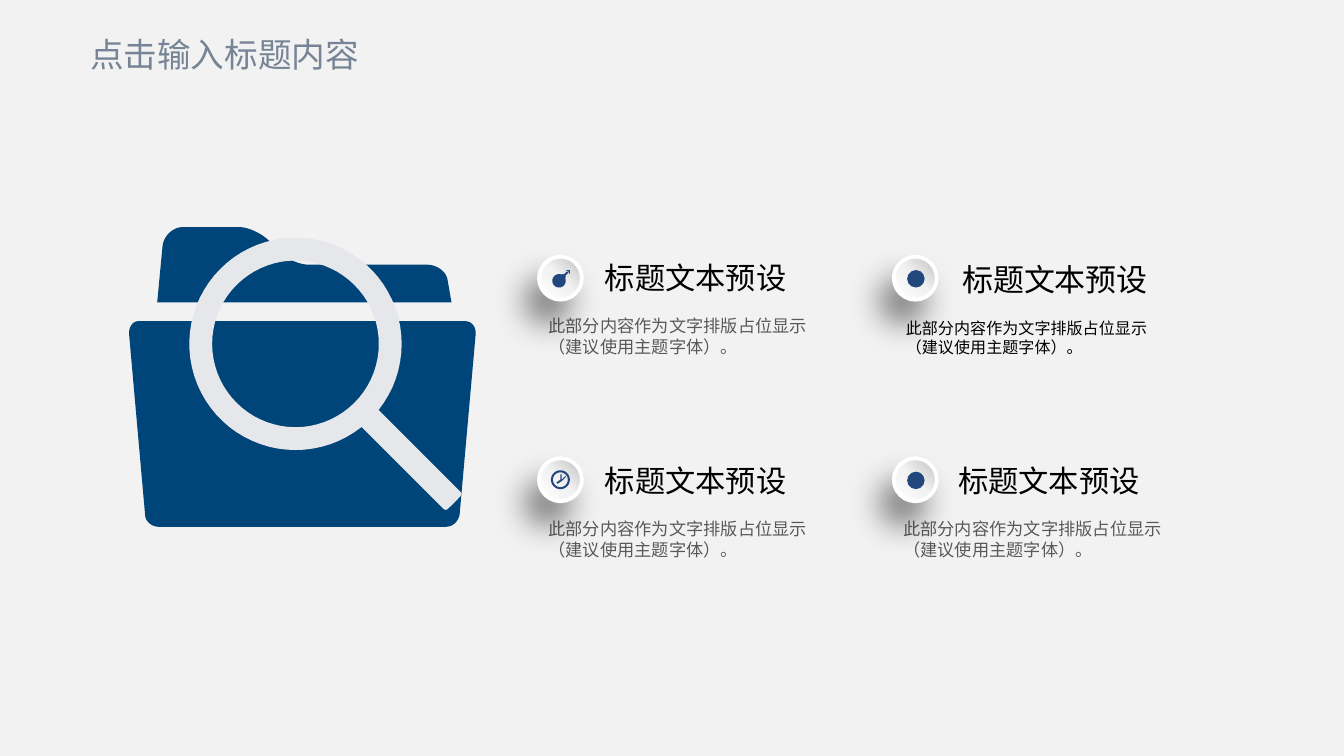
import math
from lxml import etree
from pptx import Presentation
from pptx.dml.color import RGBColor
from pptx.enum.shapes import MSO_SHAPE
from pptx.enum.text import MSO_ANCHOR, PP_ALIGN
from pptx.oxml import parse_xml
from pptx.oxml.ns import nsdecls, qn
from pptx.util import Inches, Pt

OVAL = MSO_SHAPE.OVAL
MIDDLE = MSO_ANCHOR.MIDDLE
LEFT = PP_ALIGN.LEFT
FONT = "Noto Sans CJK SC"
rgb = RGBColor.from_string
ICON_BLUE = "22477D"

BADGE_FILL = f"""<a:gradFill {nsdecls("a")}><a:gsLst>
<a:gs pos="0"><a:srgbClr val="BFBFBF"/></a:gs>
<a:gs pos="50000"><a:srgbClr val="F2F2F2"/></a:gs>
<a:gs pos="100000"><a:srgbClr val="FFFFFF"/></a:gs>
</a:gsLst><a:lin ang="8100000" scaled="0"/></a:gradFill>"""
BADGE_SHADOW = f"""<a:outerShdw {nsdecls("a")} blurRad="{Pt(17)}" dist="{Pt(14)}"
dir="7200000" algn="ctr" rotWithShape="0">
<a:srgbClr val="0D0D0D"><a:alpha val="50000"/></a:srgbClr></a:outerShdw>"""


def arc(cx, cy, radius, start=0, end=360):
    """Points along an arc, in inches; angles in degrees, clockwise from the right."""
    angles = [math.radians(start + (end - start) * i / 72) for i in range(73)]
    return [(cx + radius * math.cos(a), cy + radius * math.sin(a)) for a in angles]


def draw_outline(contours, color):
    """Fill closed contours; a step is a line end (x, y) or a cubic curve of six numbers."""
    builder = None
    for start, *steps in contours:
        points = [start]
        for step in steps:
            if len(step) == 2:
                points.append(step)
                continue
            x0, y0 = points[-1]
            x1, y1, x2, y2, x3, y3 = step
            for t in [i / 12 for i in range(1, 13)]:
                a, b, c, d = (1 - t) ** 3, 3 * t * (1 - t) ** 2, 3 * t * t * (1 - t), t ** 3
                points.append((a * x0 + b * x1 + c * x2 + d * x3,
                               a * y0 + b * y1 + c * y2 + d * y3))
        points = [(Inches(x), Inches(y)) for x, y in points]
        if builder is None:
            builder = slide.shapes.build_freeform(*points[0])
        else:
            builder.move_to(*points[0])
        builder.add_line_segments(points[1:], close=True)
    outline = builder.convert_to_shape()
    outline.shadow.inherit = False
    outline.fill.solid()
    outline.fill.fore_color.rgb = rgb(color)
    outline.line.fill.background()
    return outline


prs = Presentation()
prs.slide_width = Inches(10)
prs.slide_height = prs.slide_width * 9 // 16
slide = prs.slides.add_slide(prs.slide_layouts[5])
slide.background.fill.solid()
slide.background.fill.fore_color.rgb = rgb("F2F2F2")

# Captions: box, text, size, colour
HEADING = "标题文本预设"
BODY = "此部分内容作为文字排版占位显示\v（建议使用主题字体）。"
captions = [
    (4.47, 1.91, 1.45, 0.31, HEADING, 16.2, "000000"),
    (4.05, 2.32, 2.29, 0.36, BODY, 9.2, "595959"),
    (4.47, 3.42, 1.45, 0.31, HEADING, 16.2, "000000"),
    (4.05, 3.83, 2.29, 0.36, BODY, 9.2, "595959"),
    (7.13, 1.92, 1.5, 0.31, HEADING, 16.6, "000000"),
    (6.71, 2.34, 2.08, 0.36, BODY, 8.6, "000000"),
    (7.10, 3.42, 1.45, 0.31, HEADING, 16.2, "000000"),
    (6.69, 3.83, 2.29, 0.36, BODY, 9.2, "595959"),
]
for left, top, width, height, text, size, color in captions:
    caption = slide.shapes.add_textbox(Inches(left), Inches(top), Inches(width), Inches(height))
    frame = caption.text_frame
    frame.margin_left = frame.margin_right = Inches(0.03)
    frame.margin_top = frame.margin_bottom = Inches(0.03)
    frame.word_wrap = True
    if text == HEADING:
        frame.vertical_anchor = MIDDLE
    frame.text = text
    for run in frame.paragraphs[0].runs:
        run.font.size = Pt(size)
        run.font.color.rgb = rgb(color)

# Round badges on a two by two grid
for left in (4.01, 6.65):
    for top in (1.91, 3.41):
        badge = slide.shapes.add_shape(OVAL, Inches(left), Inches(top), Inches(0.32), Inches(0.32))
        badge.line.color.rgb = rgb("FFFFFF")
        badge.line.width = Pt(2)
        badge.shadow.inherit = False
        properties = badge._element.spPr
        properties.insert(2, parse_xml(BADGE_FILL))
        properties.find(qn("a:effectLst")).append(parse_xml(BADGE_SHADOW))

# Badge icons: bomb, clock and two plain dots
draw_outline([
    arc(4.16, 2.09, 0.05, -20, 290)
    + [(4.19, 2.04), (4.2, 2.04), (4.22, 2.02), (4.23, 2.03), (4.21, 2.05), (4.21, 2.06)],
    [(4.21, 2.01), (4.24, 2.01), (4.24, 2.04), (4.23, 2.02)],
], ICON_BLUE)
draw_outline([
    arc(4.17, 3.57, 0.07),
    arc(4.17, 3.57, 0.055),
    [(4.17, 3.53), (4.18, 3.53), (4.18, 3.57), (4.21, 3.54), (4.21, 3.55),
     (4.18, 3.58), (4.15, 3.6), (4.14, 3.59), (4.17, 3.57)],
], ICON_BLUE)
for top in (2.01, 3.51):
    dot = slide.shapes.add_shape(OVAL, Inches(6.75), Inches(top), Inches(0.13), Inches(0.13))
    dot.shadow.inherit = False
    dot.fill.solid()
    dot.fill.fore_color.rgb = rgb(ICON_BLUE)
    dot.line.fill.background()

# Folder: front panel and tabbed back
draw_outline([
    [(3.46, 2.39), (1.03, 2.39), (0.99, 2.39, 0.96, 2.43, 0.96, 2.48), (1.08, 3.83),
     (1.08, 3.88, 1.13, 3.92, 1.18, 3.92), (3.32, 3.92),
     (3.37, 3.92, 3.41, 3.88, 3.42, 3.83), (3.54, 2.48),
     (3.54, 2.43, 3.51, 2.39, 3.46, 2.39)],
    [(3.33, 2.08), (3.32, 2.02, 3.25, 1.97, 3.18, 1.97), (2.3, 1.97),
     (2.23, 1.97, 2.13, 1.93, 2.08, 1.87), (2, 1.79),
     (1.95, 1.74, 1.85, 1.69, 1.78, 1.69), (1.36, 1.69),
     (1.29, 1.69, 1.22, 1.75, 1.21, 1.83), (1.17, 2.25), (3.36, 2.25)],
], "004579")

# Magnifier: drawn upright, then turned
lens_x, lens_y, grip, tip = 2.51, 2.43, 0.09, 4.1
magnifier = draw_outline([
    arc(lens_x, lens_y, 0.62),
    arc(lens_x, lens_y, 0.79, 96.5, 443.5)
    + [(lens_x + grip, tip - 0.06), (lens_x + grip, tip, lens_x + grip, tip, lens_x + 0.04, tip),
       (lens_x - 0.04, tip), (lens_x - grip, tip, lens_x - grip, tip, lens_x - grip, tip - 0.06)],
], "E6E7EA")
magnifier.rotation = 315

title = slide.shapes.title
title.left, title.top, title.width, title.height = map(Inches, (0.67, 0.19, 2.33, 0.42))
frame = title.text_frame
frame.text = "点击输入标题内容"
frame.margin_left = frame.margin_right = 0
frame.vertical_anchor = MIDDLE
frame.paragraphs[0].alignment = LEFT
title_font = frame.paragraphs[0].runs[0].font
title_font.size = Pt(18)
title_font.color.rgb = rgb("778495")

# Latin and East Asian typeface for all text
for shape in slide.shapes:
    for paragraph in shape.text_frame.paragraphs:
        for run in paragraph.runs:
            run.font.name = FONT
            etree.SubElement(run._r.get_or_add_rPr(), qn("a:ea"), typeface=FONT)

prs.save("out.pptx")
